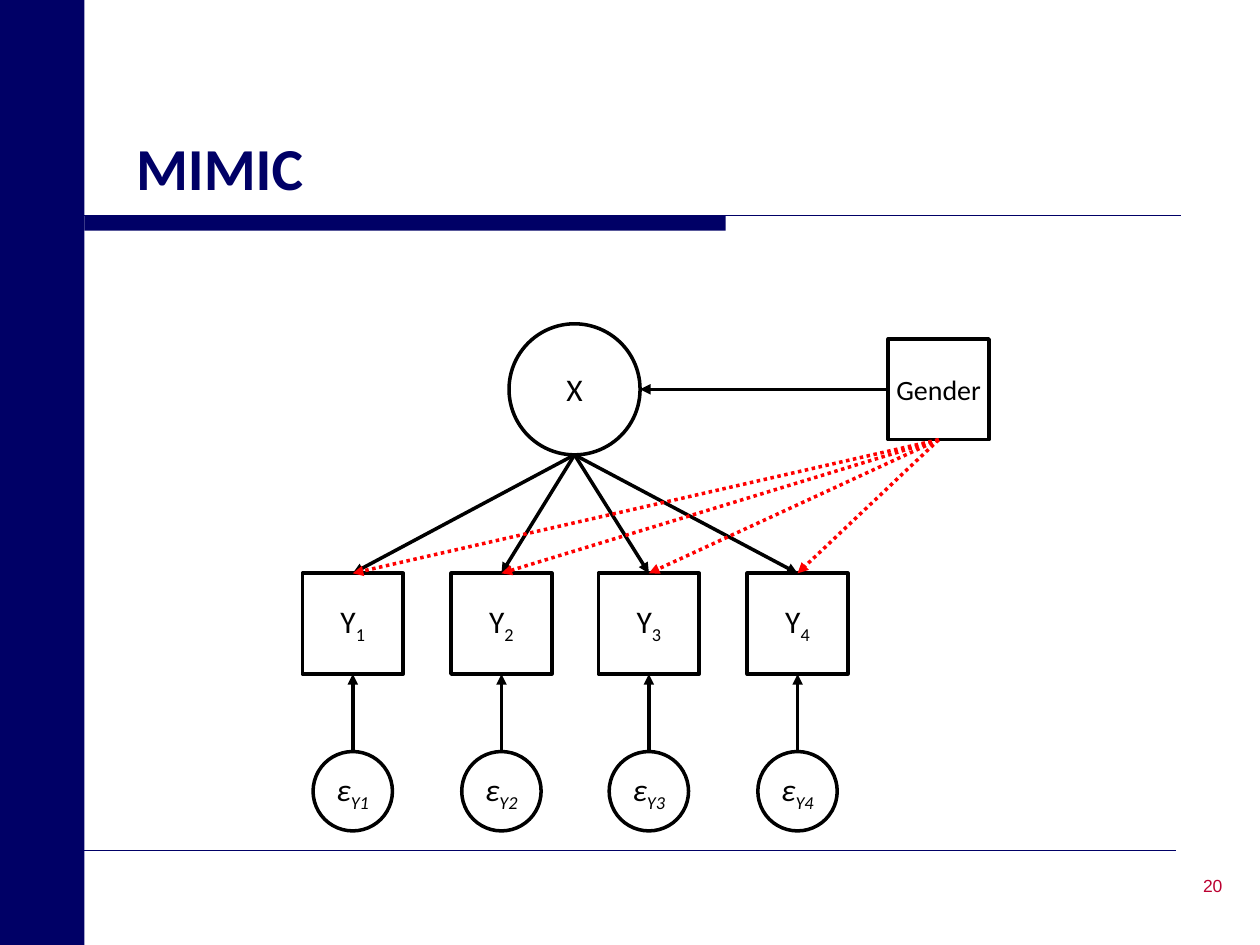
from pptx import Presentation
from pptx.dml.color import RGBColor
from pptx.enum.dml import MSO_LINE
from pptx.enum.shapes import MSO_CONNECTOR, MSO_SHAPE
from pptx.enum.text import MSO_ANCHOR, MSO_AUTO_SIZE, PP_ALIGN
from pptx.oxml.ns import qn
from pptx.util import Inches, Pt
from lxml.etree import SubElement

COLORS = {"navy": "000066", "black": "000000", "red": "FF0000", "crimson": "BC0031"}


def write(tf, text, sub="", size=18, font="Calibri", color="black", bold=False,
          italic=False, align=PP_ALIGN.CENTER, anchor=MSO_ANCHOR.MIDDLE, wrap=True):
    tf.word_wrap = wrap
    tf.auto_size = MSO_AUTO_SIZE.NONE
    tf.vertical_anchor = anchor
    p = tf.paragraphs[0]
    p.alignment = align
    for part in filter(None, (text, sub)):
        r = p.add_run()
        r.text = part
        r.font.size = Pt(size)
        r.font.name = font
        r.font.bold = bold
        r.font.italic = italic
        r.font.color.rgb = RGBColor.from_string(COLORS[color])
        if part == sub:
            r._r.get_or_add_rPr().set("baseline", "-25000")


def connect(start, end, color="black", width=2, arrow=True, dash=None):
    c = s.shapes.add_connector(MSO_CONNECTOR.STRAIGHT, *(Inches(v) for v in start + end))
    c.line.color.rgb = RGBColor.from_string(COLORS[color])
    c.line.width = Pt(width)
    if dash:
        c.line.dash_style = dash
    if arrow:
        SubElement(c.line._get_or_add_ln(), qn("a:tailEnd"), type="triangle")
    SubElement(c._element.spPr, qn("a:effectLst"))
    return c


prs = Presentation()
prs.slide_width, prs.slide_height = Inches(10), Inches(7.5)
s = prs.slides.add_slide(prs.slide_layouts[5])

for x, y, w, h in [(0.67, 1.71, 5.09, 0.12), (0, 0, 0.67, 7.5)]:
    sp = s.shapes.add_shape(MSO_SHAPE.RECTANGLE, Inches(x), Inches(y), Inches(w), Inches(h))
    sp.shadow.inherit = False
    sp.fill.solid()
    sp.fill.fore_color.rgb = RGBColor.from_string(COLORS["navy"])
    sp.line.fill.background()
connect((0.67, 1.71), (9.37, 1.71), color="navy", width=0.75, arrow=False)
connect((0.67, 6.75), (9.33, 6.75), color="navy", width=0.25, arrow=False)

title = s.shapes.title
title.left, title.top, title.width, title.height = (Inches(v) for v in (0.98, 0.33, 7.69, 1.33))
write(title.text_frame, "MIMIC", size=34, color="navy", bold=True,
      align=PP_ALIGN.LEFT, anchor=MSO_ANCHOR.BOTTOM)
number = s.shapes.add_textbox(Inches(7.72), Inches(6.74), Inches(2.08), Inches(0.58))
write(number.text_frame, "20", size=10, font="Arial", color="crimson", align=PP_ALIGN.RIGHT)

columns = [round(2.8 + 1.177 * i, 2) for i in range(4)]
nodes = [("X", "", MSO_SHAPE.OVAL, 4.56, 3.09, 1.04, {"wrap": False}),
         ("Gender", "", MSO_SHAPE.RECTANGLE, 7.45, 3.09, 0.8, {"size": 16, "wrap": False})]
for i, x in enumerate(columns, 1):
    nodes += [("Y", f"{i}", MSO_SHAPE.RECTANGLE, x, 4.95, 0.8, {}),
              ("ε", f"Y{i}", MSO_SHAPE.OVAL, x, 6.28, 0.63, {"italic": True, "wrap": False})]

shapes = {}
for text, sub, kind, x, y, size, style in nodes:
    sp = s.shapes.add_shape(kind, Inches(x - size / 2), Inches(y - size / 2),
                            Inches(size), Inches(size))
    sp.shadow.inherit = False
    sp.fill.background()
    sp.line.color.rgb = RGBColor.from_string(COLORS["black"])
    sp.line.width = Pt(2)
    write(sp.text_frame, text, sub, **style)
    shapes[text + sub] = sp

connect((7.05, 3.09), (5.08, 3.09)).begin_connect(shapes["Gender"], 1)
for i, x in enumerate(columns, 1):
    connect((4.56, 3.61), (x, 4.55)).end_connect(shapes[f"Y{i}"], 0)
    c = connect((x, 5.96), (x, 5.35))
    c.begin_connect(shapes[f"εY{i}"], 0)
    c.end_connect(shapes[f"Y{i}"], 2)
for i, x in enumerate(columns, 1):
    c = connect((7.45, 3.49), (x, 4.55), color="red", dash=MSO_LINE.ROUND_DOT)
    c.begin_connect(shapes["Gender"], 2)
    c.end_connect(shapes[f"Y{i}"], 0)

prs.save("out.pptx")
